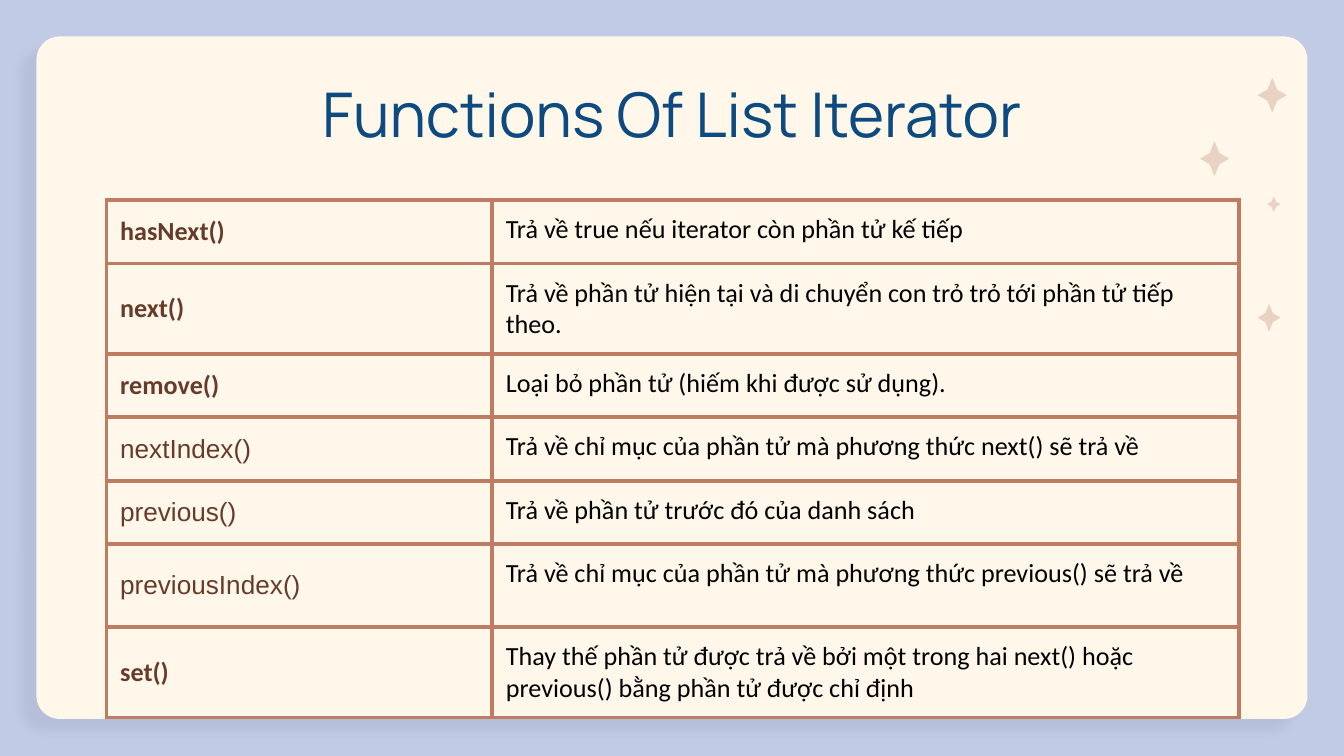
import lxml.etree
import pptx
import pptx.dml.color
import pptx.enum.shapes
import pptx.enum.text
import pptx.oxml
import pptx.oxml.ns
import pptx.util
from pptx.util import Cm

ANCHOR = pptx.enum.text.MSO_ANCHOR
BROWN = "673B2A"
FUNCTIONS = [
    ("hasNext()", "Trả về true nếu iterator còn phần tử kế tiếp"),
    ("next()", "Trả về phần tử hiện tại và di chuyển con trỏ trỏ tới phần tử tiếp theo."),
    ("remove()", "Loại bỏ phần tử (hiếm khi được sử dụng)."),
    ("nextIndex()", "Trả về chỉ mục của phần tử mà phương thức next() sẽ trả về"),
    ("previous()", "Trả về phần tử trước đó của danh sách"),
    ("previousIndex()", "Trả về chỉ mục của phần tử mà phương thức previous() sẽ trả về"),
    ("set()", "Thay thế phần tử được trả về bởi một trong hai next() hoặc "
              "previous() bằng phần tử được chỉ định"),
]
PLAIN_NAMES = {"nextIndex()", "previous()", "previousIndex()"}
SPARKLES = [
    (23.77, 5.74, 0.43, 0.53),
    (22.68, 2.67, 0.55, 0.66),
    (23.77, 1.47, 0.55, 0.66),
    (23.95, 3.71, 0.25, 0.3),
]


def rgb(value):
    """Turn a hex string into a colour."""
    return pptx.dml.color.RGBColor.from_string(value)


def paint(shape, color):
    """Give a shape a flat fill without outline or inherited shadow."""
    shape.shadow.inherit = False
    shape.fill.solid()
    shape.fill.fore_color.rgb = rgb(color)
    shape.line.fill.background()


def write(frame, text, font="Calibri", size=14, color="000000", bold=False, align=None):
    """Write one formatted paragraph into a text frame."""
    paragraph = frame.paragraphs[0]
    paragraph.alignment = align
    run = paragraph.add_run()
    run.text = text
    run.font.name = font
    run.font.size = pptx.util.Pt(size)
    run.font.bold = bold
    run.font.color.rgb = rgb(color)


def add_card(slide):
    """Add the rounded cream card with its soft shadow."""
    card = slide.shapes.add_shape(
        pptx.enum.shapes.MSO_SHAPE.ROUNDED_RECTANGLE, Cm(0.69), Cm(0.69), Cm(24.02), Cm(12.9))
    card.adjustments[0] = 0.034
    paint(card, "FFF7EA")
    effects = card._element.spPr.find(pptx.oxml.ns.qn("a:effectLst"))
    effects.append(pptx.oxml.parse_xml(
        f'<a:outerShdw {pptx.oxml.ns.nsdecls("a")} blurRad="{pptx.util.Pt(4.5)}" '
        f'dist="{pptx.util.Pt(10.5)}" dir="{137 * 60000}" algn="bl" rotWithShape="0">'
        '<a:srgbClr val="515B7A"><a:alpha val="10000"/></a:srgbClr></a:outerShdw>'))


def add_title(slide, text):
    """Add the centred slide title."""
    frame = slide.shapes.add_textbox(Cm(1.98), Cm(1.24), Cm(21.44), Cm(1.6)).text_frame
    frame.word_wrap = True
    frame.vertical_anchor = ANCHOR.BOTTOM
    frame.margin_left = frame.margin_right = frame.margin_top = frame.margin_bottom = 0
    write(frame, text, font="Manrope", size=33, color="0D4A80",
          align=pptx.enum.text.PP_ALIGN.CENTER)


def set_borders(cell, color, width):
    """Draw the same line on all four sides of a cell."""
    for side in ("lnL", "lnR", "lnT", "lnB"):
        cell._tc.get_or_add_tcPr().append(pptx.oxml.parse_xml(
            f'<a:{side} {pptx.oxml.ns.nsdecls("a")} w="{pptx.util.Pt(width)}">'
            f'<a:solidFill><a:srgbClr val="{color}"/></a:solidFill></a:{side}>'))


def fill_cell(cell, text, anchor, **text_format):
    """Set the margins, borders and text of a table cell."""
    cell.margin_left = cell.margin_right = cell.margin_top = cell.margin_bottom = Cm(0.26)
    cell.vertical_anchor = anchor
    set_borders(cell, "BF7C63", 2.25)
    cell.fill.background()
    write(cell.text_frame, text, **text_format)


def add_function_table(slide):
    """Add the table of iterator functions and their meanings."""
    table = slide.shapes.add_table(
        len(FUNCTIONS), 2, Cm(2.01), Cm(3.78), Cm(21.41), Cm(9.27)).table
    table.first_row = table.horz_banding = False
    table.columns[0].width = Cm(7.29)
    table.columns[1].width = Cm(14.12)
    for index, (name, meaning) in enumerate(FUNCTIONS):
        plain = name in PLAIN_NAMES
        table.rows[index].height = Cm(1.57 if name == "previousIndex()" else 1.2)
        fill_cell(table.cell(index, 0), name, ANCHOR.MIDDLE, color=BROWN,
                  font="Arial" if plain else "Calibri", bold=not plain)
        fill_cell(table.cell(index, 1), meaning, ANCHOR.TOP)


def add_sparkle(slide, left, top, width, height):
    """Add a four-pointed sparkle inside the given box."""
    waist = 0.33
    directions = [(0, -1), (waist, -waist), (1, 0), (waist, waist),
                  (0, 1), (-waist, waist), (-1, 0), (-waist, -waist)]
    points = [(Cm(left + width * (1 + x) / 2), Cm(top + height * (1 + y) / 2))
              for x, y in directions]
    outline = slide.shapes.build_freeform(*points[0])
    outline.add_line_segments(points[1:], close=True)
    paint(outline.convert_to_shape(), "EAD2C3")


def main():
    """Build and save the slide."""
    deck = pptx.Presentation()
    deck.slide_width, deck.slide_height = Cm(25.4), Cm(14.29)
    slide = deck.slides.add_slide(deck.slide_layouts[6])
    slide.background.fill.solid()
    slide.background.fill.fore_color.rgb = rgb("C2CBE6")
    add_card(slide)
    add_title(slide, "Functions Of List Iterator")
    add_function_table(slide)
    for box in SPARKLES:
        add_sparkle(slide, *box)
    deck.save("out.pptx")


if __name__ == "__main__":
    main()
